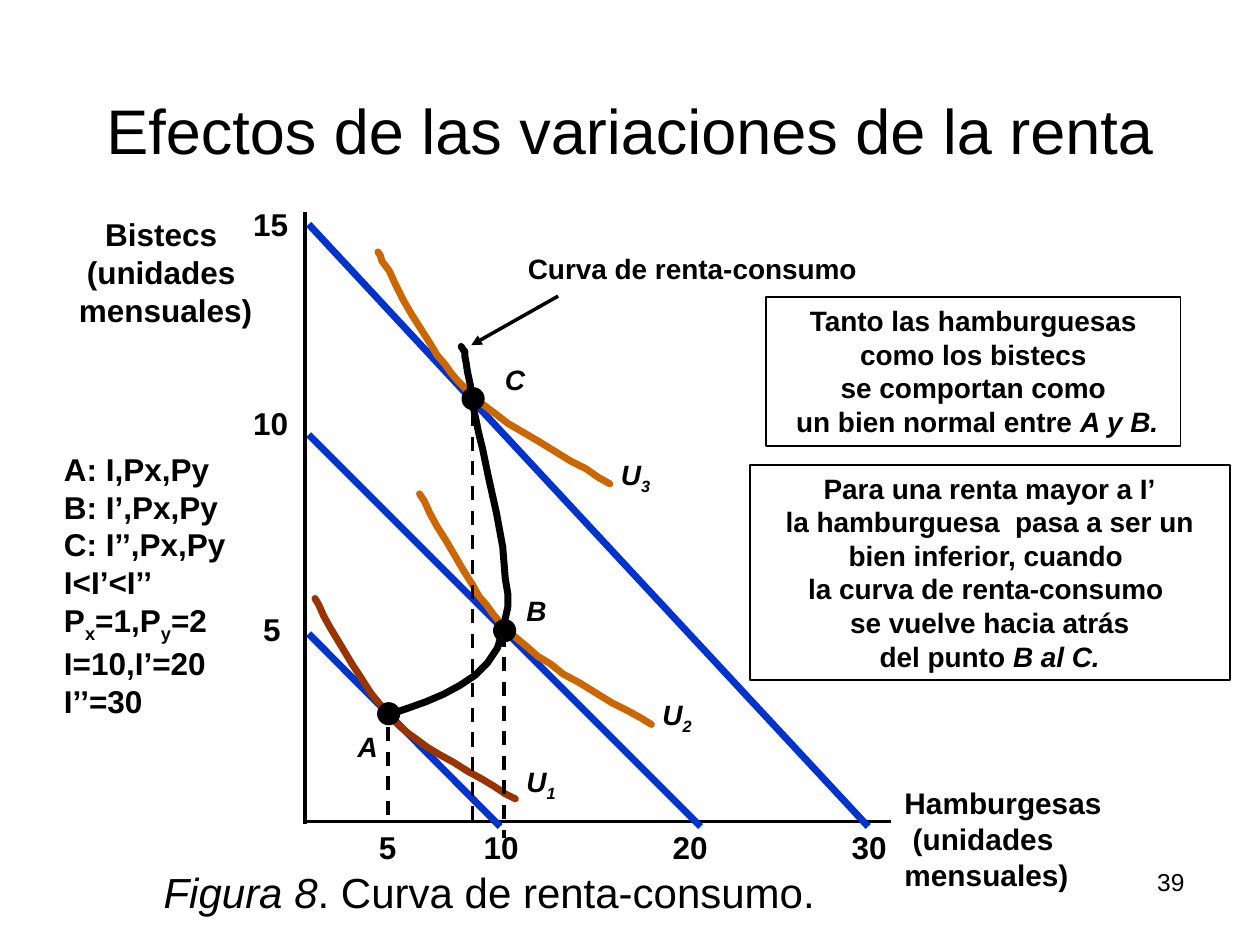
from lxml import etree
from pptx import Presentation
from pptx.dml.color import RGBColor
from pptx.enum.dml import MSO_LINE
from pptx.enum.shapes import MSO_CONNECTOR, MSO_SHAPE
from pptx.enum.text import MSO_ANCHOR, MSO_AUTO_SIZE, PP_ALIGN
from pptx.oxml.ns import qn
from pptx.util import Inches, Pt

BLACK = RGBColor(0x00, 0x00, 0x00)
WHITE = RGBColor(0xFF, 0xFF, 0xFF)
BLUE = RGBColor(0x00, 0x33, 0xCC)
ORANGE = RGBColor(0xCC, 0x66, 0x00)
BROWN = RGBColor(0x99, 0x33, 0x00)
LEFT, CENTER, RIGHT = PP_ALIGN.LEFT, PP_ALIGN.CENTER, PP_ALIGN.RIGHT
DASH = MSO_LINE.DASH
FONT = "Arial"

U1 = [(2.5, 4.75), (2.53, 4.8), (2.57, 4.89), (2.62, 4.98), (2.68, 5.08),
      (2.8, 5.28), (2.86, 5.37), (2.91, 5.45), (2.95, 5.51), (3, 5.57),
      (3.09, 5.68), (3.13, 5.72), (3.18, 5.77), (3.24, 5.82), (3.31, 5.87),
      (3.39, 5.93), (3.49, 5.99), (3.6, 6.05), (3.71, 6.12), (3.82, 6.18),
      (3.92, 6.24), (4.01, 6.3), (4.09, 6.34)]
U2 = [(3.33, 3.92), (3.37, 3.98), (3.41, 4.07), (3.47, 4.18), (3.54, 4.29),
      (3.68, 4.53), (3.75, 4.64), (3.8, 4.73), (3.86, 4.8), (3.91, 4.87),
      (4.01, 4.99), (4.13, 5.09), (4.19, 5.14), (4.27, 5.21), (4.37, 5.27),
      (4.47, 5.35), (4.6, 5.42), (4.73, 5.5), (4.86, 5.58), (4.98, 5.64),
      (5.09, 5.7), (5.17, 5.75)]
U3 = [(3, 2), (3.02, 2.03), (3.03, 2.07), (3.09, 2.15), (3.14, 2.26),
      (3.2, 2.38), (3.27, 2.5), (3.34, 2.61), (3.41, 2.72), (3.47, 2.82),
      (3.53, 2.89), (3.58, 2.96), (3.63, 3.02), (3.68, 3.07), (3.73, 3.12),
      (3.79, 3.18), (3.86, 3.23), (3.94, 3.29), (4.03, 3.36), (4.15, 3.43),
      (4.27, 3.5), (4.4, 3.58), (4.53, 3.66), (4.65, 3.72), (4.75, 3.79),
      (4.84, 3.84)]
INCOME_CONSUMPTION = [
    (3.09, 5.67), (3.24, 5.62), (3.38, 5.57), (3.52, 5.51), (3.65, 5.44),
    (3.77, 5.36), (3.87, 5.26), (3.95, 5.14), (3.97, 5.07), (4, 5),
    (4.01, 4.91), (4.03, 4.82), (4.03, 4.71), (4.01, 4.59), (3.99, 4.34),
    (3.94, 4.07), (3.88, 3.8), (3.83, 3.56), (3.8, 3.44), (3.78, 3.34),
    (3.76, 3.25), (3.75, 3.16), (3.73, 3.04), (3.71, 2.95), (3.7, 2.88),
    (3.69, 2.83), (3.69, 2.79), (3.68, 2.78), (3.66, 2.75)]


def write(tf, lines, size=16, bold=True, italic=False, align=LEFT, wrap=False):
    """Fill a text frame; a line is a string or a list of (text, style) runs."""
    tf.auto_size = MSO_AUTO_SIZE.NONE
    tf.word_wrap = wrap
    for i, line in enumerate(lines):
        p = tf.paragraphs[0] if i == 0 else tf.add_paragraph()
        p.alignment = align
        for text, style in [(line, "")] if isinstance(line, str) else line:
            r = p.add_run()
            r.text = text
            r.font.name = FONT
            r.font.size = Pt(size)
            r.font.bold = bold
            r.font.italic = italic or style == "italic"
            r.font.color.rgb = BLACK
            if style == "sub":
                r.font._element.set("baseline", "-25000")


def add_text(s, at, lines, **fmt):
    """Add a text box at (left, top, width, height)."""
    tf = s.shapes.add_textbox(*map(Inches, at)).text_frame
    write(tf, lines, **fmt)
    return tf


def add_box(s, at, lines, outlined=True, **fmt):
    """Add a white rectangle with text."""
    sp = s.shapes.add_shape(MSO_SHAPE.RECTANGLE, *map(Inches, at))
    sp.shadow.inherit = False
    sp.fill.solid()
    sp.fill.fore_color.rgb = WHITE
    if outlined:
        sp.line.color.rgb = BLACK
        sp.line.width = Pt(1)
    else:
        sp.line.fill.background()
    sp.text_frame.vertical_anchor = MSO_ANCHOR.TOP
    write(sp.text_frame, lines, **fmt)


def add_line(s, start, end, color=BLACK, width=2, dash=None, arrow=False):
    """Add a straight line, dashed or with an arrowhead if asked."""
    cxn = s.shapes.add_connector(MSO_CONNECTOR.STRAIGHT,
                                 *map(Inches, (*start, *end)))
    cxn.line.color.rgb = color
    cxn.line.width = Pt(width)
    if dash:
        cxn.line.dash_style = dash
    sp_pr = cxn.element.spPr
    if arrow:
        etree.SubElement(sp_pr.find(qn("a:ln")), qn("a:tailEnd"), type="triangle")
    etree.SubElement(sp_pr, qn("a:effectLst"))


def add_curve(s, points, color):
    """Add an open curve with round ends through the points."""
    start, *rest = [(Inches(x), Inches(y)) for x, y in points]
    builder = s.shapes.build_freeform(*start)
    builder.add_line_segments(rest, close=False)
    sp = builder.convert_to_shape()
    sp.shadow.inherit = False
    sp.fill.background()
    sp.line.color.rgb = color
    sp.line.width = Pt(4)
    ln = sp.element.spPr.find(qn("a:ln"))
    ln.set("cap", "rnd")
    etree.SubElement(ln, qn("a:round"))


def add_dot(s, left, top):
    """Add a black point of tangency."""
    sp = s.shapes.add_shape(MSO_SHAPE.OVAL, *map(Inches, (left, top, 0.17, 0.17)))
    sp.shadow.inherit = False
    sp.fill.solid()
    sp.fill.fore_color.rgb = BLACK
    sp.line.color.rgb = BLACK
    sp.line.width = Pt(1)


def add_title(s, text):
    """Place and fill the title placeholder."""
    title = s.shapes.title
    title.left, title.top, title.width, title.height = map(
        Inches, (0.5, 0.46, 9, 0.92))
    title.text_frame.vertical_anchor = MSO_ANCHOR.BOTTOM
    write(title.text_frame, [text], size=36, bold=False, align=CENTER, wrap=True)


def add_graph(s):
    """Draw axes, budget lines, curves, points and their labels."""
    add_line(s, (2.42, 1.68), (2.42, 6.54))
    add_line(s, (2.43, 6.52), (7.07, 6.52))
    for top, right in ((1.78, 6.89), (3.45, 5.56), (5.03, 3.97)):
        add_line(s, (2.45, top), (right, 6.56), BLUE, 4)
    for points, color in ((U3, ORANGE), (U2, ORANGE), (INCOME_CONSUMPTION, BLACK),
                          (U1, BROWN)):
        add_curve(s, points, color)
    for x, top, bottom in ((3.75, 3.27, 6.57), (3.08, 5.77, 6.53), (4, 5.02, 6.65)):
        add_line(s, (x, top), (x, bottom), dash=DASH)
    for left, top in ((3.67, 3.08), (3, 5.58), (3.92, 4.92)):
        add_dot(s, left, top)
    for text, left, top in (("15", 1.91, 1.58), ("10", 1.91, 3.16), ("5", 1.99, 4.79),
                            ("5", 2.91, 6.52), ("10", 3.74, 6.52),
                            ("20", 5.24, 6.52), ("30", 6.66, 6.52)):
        add_text(s, (left, top, 0.2 + 0.14 * len(text), 0.4), [text], size=18)
    for text, left, top in (("A", 2.74, 5.74), ("B", 4.08, 4.66), ("C", 3.91, 2.83)):
        add_text(s, (left, top, 0.36, 0.36), [text], italic=True)
    for number, left, top in (("1", 4.08, 6.02), ("2", 5.16, 5.49), ("3", 4.83, 3.58)):
        add_text(s, (left, top, 0.44, 0.36), [[("U", ""), (number, "sub")]], italic=True)
    add_text(s, (4.09, 1.95, 2.81, 0.36), ["Curva de renta-consumo"], align=CENTER)
    add_line(s, (4.43, 2.35), (3.74, 2.74), arrow=True)


def main():
    """Build the slide and save it."""
    prs = Presentation()
    prs.slide_width, prs.slide_height = Inches(10), Inches(7.5)
    s = prs.slides.add_slide(prs.slide_layouts[5])
    add_title(s, "Efectos de las variaciones de la renta")
    add_text(s, (1.2, 6.83, 5.38, 0.52),
             [[("Figura 8", "italic"), (". Curva de renta-consumo.", "")]],
             size=24, bold=False)
    add_text(s, (7.17, 6.83, 2.33, 0.52), ["39"], size=14, bold=False, align=RIGHT)
    tf = add_text(s, (7.08, 6.18, 2.75, 0.66),
                  ["Hamburgesas", " (unidades mensuales)"], size=17, wrap=True)
    tf.margin_right = Inches(0.5)
    add_text(s, (0.46, 1.66, 1.64, 1), ["Bistecs", "(unidades", " mensuales)"],
             size=18, align=CENTER)
    add_graph(s)
    add_box(s, (5.95, 3.69, 3.81, 1.71),
            ["Para una renta mayor a I’",
             "la hamburguesa  pasa a ser un bien inferior, cuando ",
             "la curva de renta-consumo ", "se vuelve hacia atrás",
             [("del punto ", ""), ("B al C.", "italic")]], align=CENTER, wrap=True)
    add_box(s, (6.08, 2.36, 3.29, 1.18),
            ["Tanto las hamburguesas", " como los bistecs ", "se comportan como",
             [(" un bien normal entre ", ""), ("A y B.", "italic")]], align=CENTER)
    add_box(s, (0.41, 3.52, 1.5, 2.22),
            ["A: I,Px,Py", "B: I’,Px,Py", "C: I’’,Px,Py", "I<I’<I’’",
             [("P", ""), ("x", "sub"), ("=1,P", ""), ("y", "sub"), ("=2", "")],
             "I=10,I’=20", "I’’=30"], outlined=False, size=18)
    prs.save("out.pptx")


if __name__ == "__main__":
    main()
